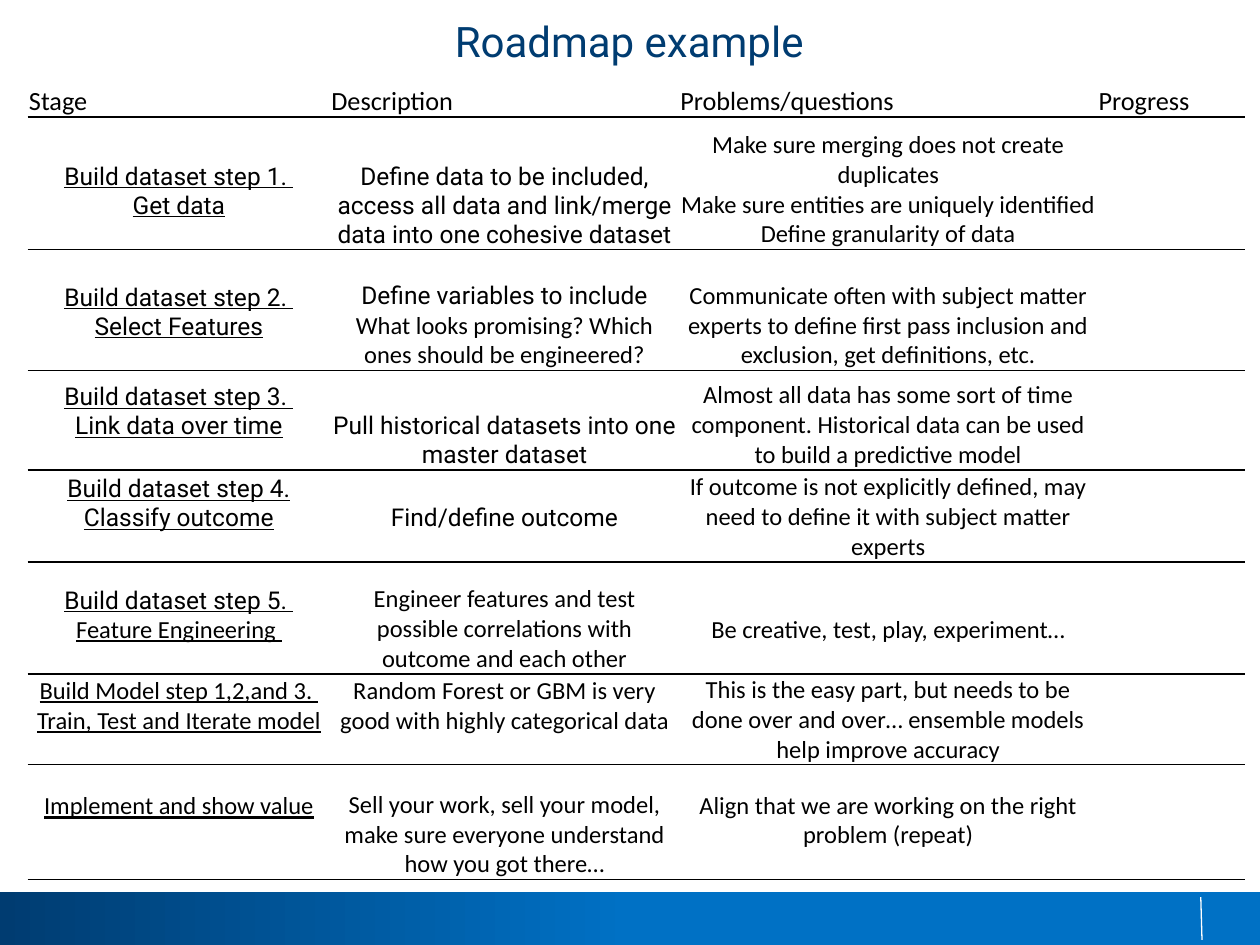
from lxml import etree
from pptx import Presentation
from pptx.dml.color import RGBColor
from pptx.enum.shapes import MSO_CONNECTOR as CONN, MSO_SHAPE as SHAPE
from pptx.enum.text import MSO_ANCHOR as ANCHOR, PP_ALIGN as ALIGN
from pptx.oxml import parse_xml
from pptx.oxml.ns import nsdecls, qn
from pptx.util import Inches, Pt

ROB, CAL = "Roboto", "Calibri"
PLAIN = "{2D5ABB26-0587-4C30-8999-92F81FD0307C}"  # table style without grid
LIFT = 0.23  # one text line above the cell's foot

COLS = [2.4, 2.77, 3.32, 1.17]
ROWS = [0.33, 1.05, 0.96, 0.79, 0.73, 0.89, 0.72, 0.91]
HEADS = ["Stage", "Description", "Problems/questions", "Progress"]

# Each cell: lines to lift the text by, then (font, paragraph) pairs
STAGES = [
    [(1, (ROB, "Build dataset step 1. "), (ROB, "Get data")),
     (0, (ROB, "Define data to be included, access all data and link/merge "
               "data into one cohesive dataset")),
     (0, (CAL, "Make sure merging does not create duplicates"),
         (CAL, "Make sure entities are uniquely identified"),
         (CAL, "Define granularity of data"))],
    [(1, (ROB, "Build dataset step 2. "), (ROB, "Select Features")),
     (0, (ROB, "Define variables to include"),
         (CAL, "What looks promising? Which ones should be engineered?")),
     (0, (CAL, "Communicate often with subject matter experts to define first "
               "pass inclusion and exclusion, get definitions, etc."))],
    [(1, (ROB, "Build dataset step 3. "), (ROB, "Link data over time")),
     (0, (ROB, "Pull historical datasets into one master dataset")),
     (0, (CAL, "Almost all data has some sort of time component. Historical "
               "data can be used to build a predictive model"))],
    [(1, (ROB, "Build dataset step 4. Classify outcome")),
     (1, (ROB, "Find/define outcome")),
     (0, (CAL, "If outcome is not explicitly defined, may need to define it "
               "with subject matter experts"))],
    [(1, (ROB, "Build dataset step 5. "), (CAL, "Feature Engineering ")),
     (0, (CAL, "Engineer features and test possible correlations with "
               "outcome and each other")),
     (1, (CAL, "Be creative, test, play, experiment…"))],
    [(1, (CAL, "Build Model step 1,2,and 3. "),
         (CAL, "Train, Test and Iterate model")),
     (1, (CAL, "Random Forest or GBM is very good with highly categorical "
               "data")),
     (0, (CAL, "This is the easy part, but needs to be done over and over… "
               "ensemble models help improve accuracy"))],
    [(2, (CAL, "Implement and show value")),
     (0, (CAL, "Sell your work, sell your model, make sure everyone "
               "understand how you got there…")),
     (1, (CAL, "Align that we are working on the right problem (repeat)"))],
]


def color(code):
    return RGBColor.from_string(code)


class Deck:
    navy, blue, ink, white = "003C71", "0071C5", "000000", "FFFFFF"

    def __init__(self, slide):
        self.slide = slide

    def run(self, para, text, face, size, code, under=False):
        run = para.add_run()
        run.text = text
        font = run.font
        font.name, font.size, font.underline = face, Pt(size), under
        font.color.rgb = color(code)

    def band(self, *box):
        shape = self.slide.shapes.add_shape(SHAPE.RECTANGLE, *map(Inches, box))
        shape.shadow.inherit = False
        shape.line.fill.background()
        shape.fill.gradient()
        shape.fill.gradient_angle = 0
        stops = zip(shape.fill.gradient_stops, (0, 0.5), (self.navy, self.blue))
        for stop, spot, code in stops:
            stop.position = spot
            stop.color.rgb = color(code)

    def line(self, *ends):
        line = self.slide.shapes.add_connector(CONN.STRAIGHT, *map(Inches, ends))
        line.line.color.rgb = color(self.white)
        line.line.width = Pt(0.75)
        etree.SubElement(line._element.spPr, qn("a:effectLst"))

    def title(self, text, *box):
        frame = self.slide.shapes.add_textbox(*map(Inches, box)).text_frame
        frame.word_wrap = False
        frame.margin_left = frame.margin_right = 0
        frame.margin_top = frame.margin_bottom = 0
        self.run(frame.paragraphs[0], text, ROB, 24, self.navy)

    def table(self, left, top, cols, rows):
        box = map(Inches, (left, top, sum(cols), sum(rows)))
        table = self.slide.shapes.add_table(len(rows), len(cols), *box).table
        table.first_row = table.horz_banding = False
        table._tbl.tblPr.find(qn("a:tableStyleId")).text = PLAIN
        for col, width in zip(table.columns, cols):
            col.width = Inches(width)
        for row, height in zip(table.rows, rows):
            row.height = Inches(height)
        for cell in table.iter_cells():
            cell.fill.background()
            self.rule(cell)
        return table

    def rule(self, cell):
        cell._tc.get_or_add_tcPr().insert(0, parse_xml(
            f'<a:lnB {nsdecls("a")} w="{Pt(1)}"><a:solidFill>'
            f'<a:srgbClr val="{self.ink}"/></a:solidFill></a:lnB>'))

    def cell(self, cell, lines, size, align, lift=0, under=False):
        cell.vertical_anchor = ANCHOR.BOTTOM
        cell.margin_left = cell.margin_right = cell.margin_top = Inches(0.01)
        cell.margin_bottom = Inches(lift * LIFT)
        frame = cell.text_frame
        for i, (face, text) in enumerate(lines):
            para = frame.add_paragraph() if i else frame.paragraphs[0]
            para.alignment = align
            self.run(para, text, face, size, self.ink, under)


def main():
    prs = Presentation()
    prs.slide_width, prs.slide_height = Inches(10), Inches(7.5)
    deck = Deck(prs.slides.add_slide(prs.slide_layouts[6]))

    # Footer band
    deck.band(0, 7.08, 10, 0.42)
    deck.line(9.53, 7.12, 9.54, 7.46)

    # Roadmap table
    table = deck.table(0.22, 0.6, COLS, ROWS)
    for c, head in enumerate(HEADS):
        deck.cell(table.cell(0, c), [(CAL, head)], 15, ALIGN.LEFT)
    for r, stage in enumerate(STAGES, 1):
        for c, (lift, *lines) in enumerate(stage):
            deck.cell(table.cell(r, c), lines, 14, ALIGN.CENTER, lift, c == 0)

    # Title
    deck.title("Roadmap example", 3.61, 0.12, 4.36, 0.5)

    prs.save("out.pptx")


if __name__ == "__main__":
    main()
